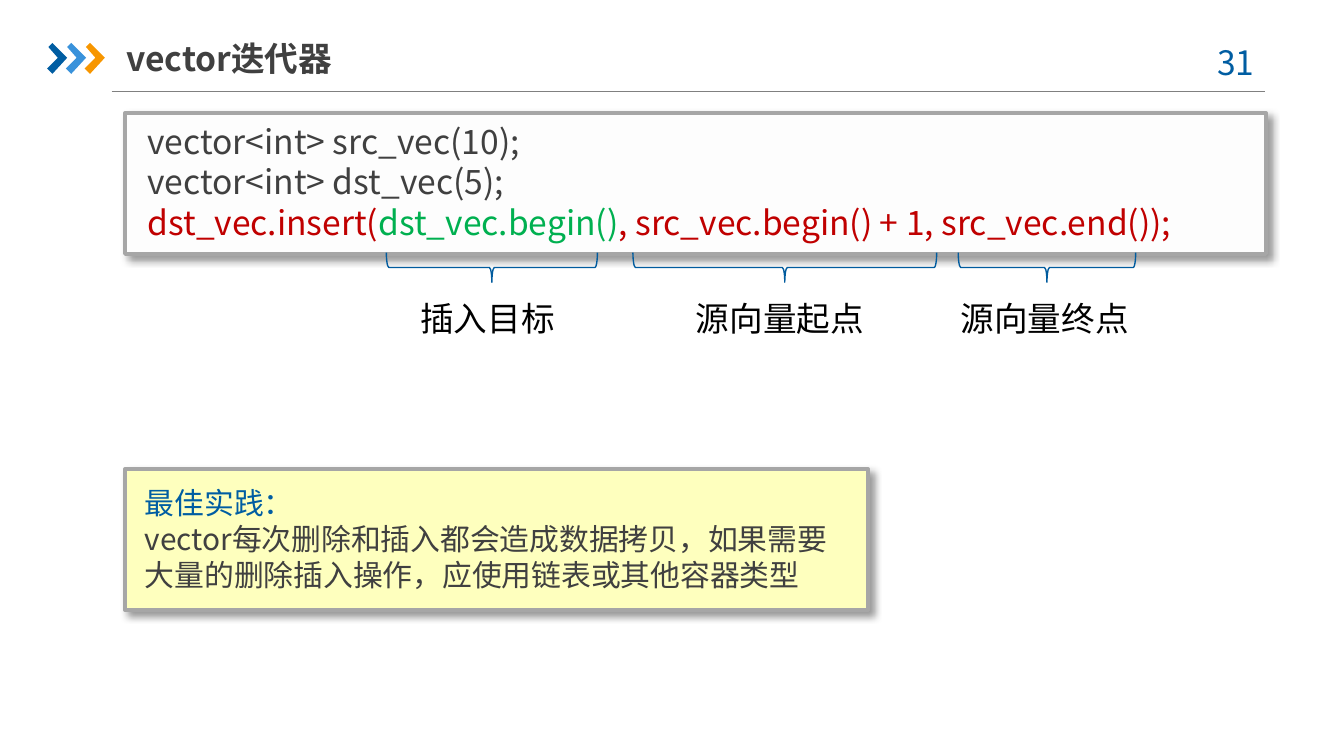
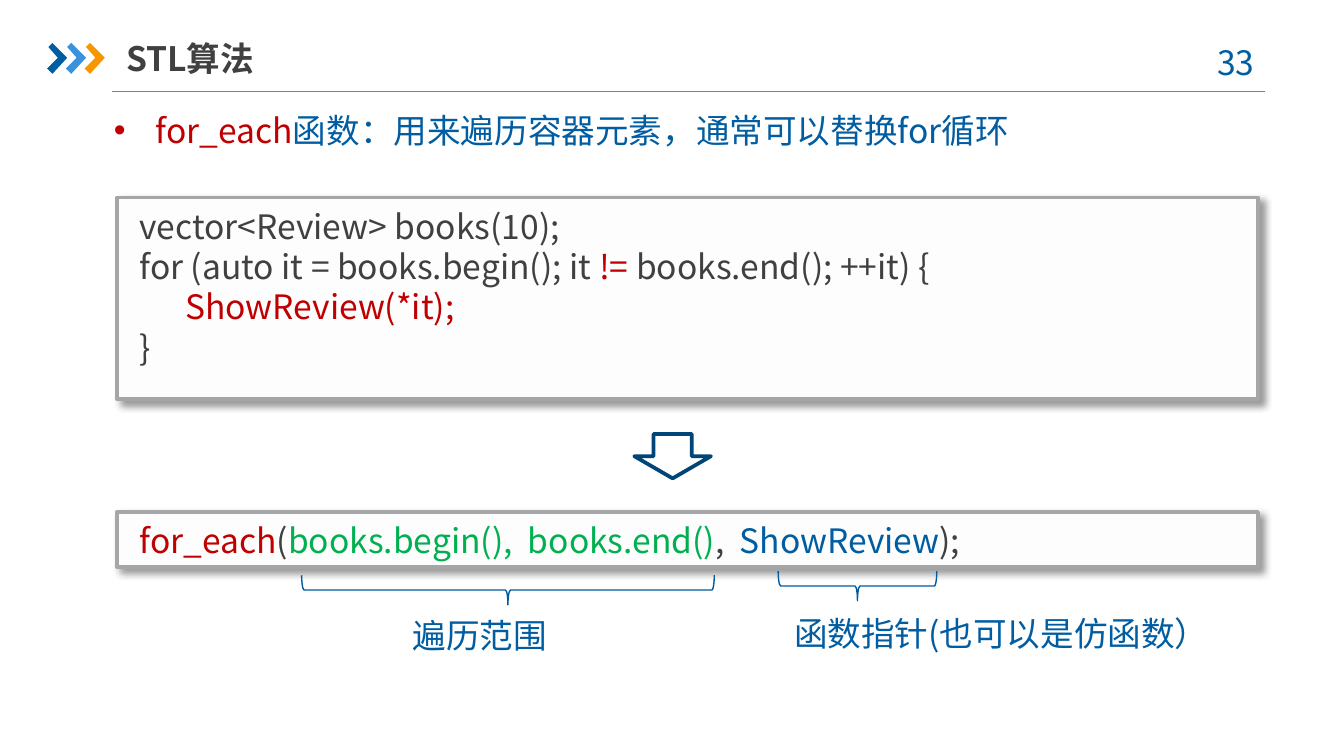
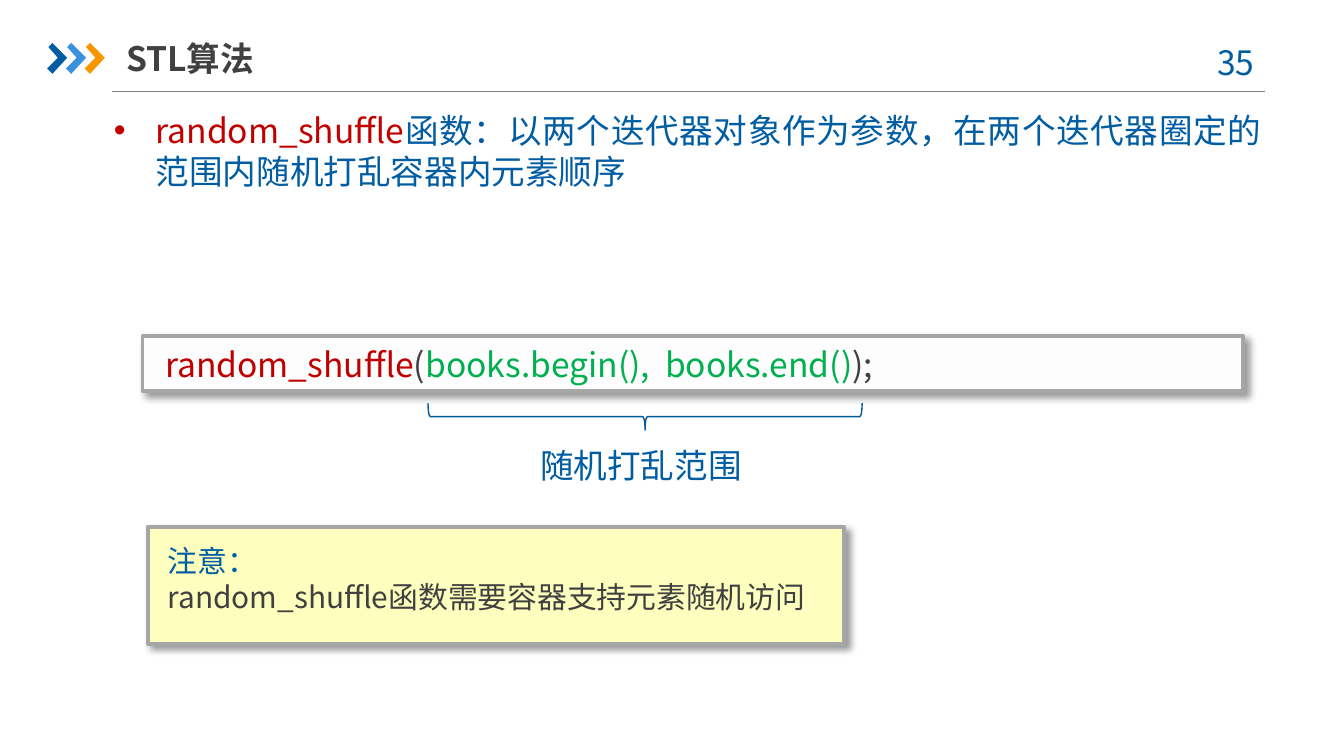
import pptx
import pptx.util
import pptx.dml.color
import pptx.enum.text
import pptx.enum.shapes
import pptx.oxml
import pptx.oxml.ns
from lxml import etree

Inches = pptx.util.Inches
Pt = pptx.util.Pt
Shape = pptx.enum.shapes.MSO_SHAPE
Align = pptx.enum.text.PP_ALIGN
Anchor = pptx.enum.text.MSO_ANCHOR
Fit = pptx.enum.text.MSO_AUTO_SIZE

FONT = "Noto Sans CJK SC"
HEX = {
    "blue": "005DA2", "sky": "3992DB", "orange": "F79600", "brace": "005B9E",
    "navy": "004578", "ink": "404040", "black": "000000", "red": "C00000",
    "green": "00B050", "rule": "808080", "edge": "A6A6A6",
    "panel": "FDFDFD", "note": "FEFFBE",
}


def rgb(name):
    return pptx.dml.color.RGBColor.from_string(HEX[name])


def child(parent, tag, **attrs):
    node = etree.SubElement(parent, pptx.oxml.ns.qn("a:" + tag))
    for key, value in attrs.items():
        node.set(key, str(value))
    return node


class Deck:
    def __init__(self):
        self.prs = pptx.Presentation()
        self.prs.slide_width = Inches(10)
        self.prs.slide_height = Inches(10) * 9 // 16
        self.slide = None

    def start(self, title, number):
        """Add a slide with its rule, chevrons, page number and title."""
        self.slide = self.prs.slides.add_slide(self.prs.slide_layouts[6])
        rule = self.slide.shapes.add_connector(
            pptx.enum.shapes.MSO_CONNECTOR.STRAIGHT,
            Inches(0.83), Inches(0.68), Inches(9.41), Inches(0.68))
        rule.line.color.rgb = rgb("rule")
        rule.line.width = Pt(0.75)
        child(rule._element.spPr, "effectLst")
        for i, color in enumerate(("blue", "sky", "orange")):
            self.chevron(0.35 + 0.14 * i, 0.32, color)
        self.text(8.86, 0.26, 0.73, 0.4, [[(f"{number} ", "blue")]],
                  align=Align.CENTER)
        box = self.text(0.94, 0.22, 2.57, 0.42, [[(title, "ink")]],
                        bold=True, grow=False)
        frame = box.text_frame
        frame.margin_left = frame.margin_right = 0
        frame.vertical_anchor = Anchor.MIDDLE

    def chevron(self, x, y, color):
        points = [(0.01, 0.03), (0.04, 0), (0.15, 0.11), (0.04, 0.23),
                  (0, 0.19), (0.08, 0.11)]
        points = [(Inches(x + dx), Inches(y + dy)) for dx, dy in points]
        path = self.slide.shapes.build_freeform(*points[0])
        path.add_line_segments(points[1:], close=True)
        shape = path.convert_to_shape()
        shape.shadow.inherit = False
        shape.fill.solid()
        shape.fill.fore_color.rgb = rgb(color)
        shape.line.fill.background()

    def text(self, x, y, w, h, lines, size=18, align=Align.LEFT, bold=False,
             grow=True):
        """Each line is a list of (text, color); a "\\n" item breaks it."""
        box = self.slide.shapes.add_textbox(
            Inches(x), Inches(y), Inches(w), Inches(h))
        frame = box.text_frame
        frame.word_wrap = True
        frame.auto_size = Fit.SHAPE_TO_FIT_TEXT if grow else Fit.NONE
        for i, parts in enumerate(lines):
            para = frame.paragraphs[0] if i == 0 else frame.add_paragraph()
            para.alignment = align
            font = para.font
            font.size, font.name, font.bold = Pt(size), FONT, bold
            child(font._element, "ea", typeface=FONT)
            if len(parts) == 1:
                font.color.rgb = rgb(parts[0][1])
            for part in parts:
                if part == "\n":
                    para.add_line_break()
                    continue
                run = para.add_run()
                run.text = part[0]
                if len(parts) > 1:
                    run.font.color.rgb = rgb(part[1])
        return box

    def bullet(self, h, parts):
        box = self.text(0.75, 0.77, 8.74, h, [parts], align=Align.JUSTIFY)
        para = box.text_frame.paragraphs[0]
        para.space_after = Pt(12)
        props = para._p.get_or_add_pPr()
        props.set("marL", str(Inches(0.31)))
        props.set("indent", str(-Inches(0.31)))
        font = props.find(pptx.oxml.ns.qn("a:defRPr"))
        font.addprevious(child(props, "buFont", typeface="Arial"))
        font.addprevious(child(props, "buChar", char="•"))

    def shape(self, kind, x, y, w, h, line, width, fill=None):
        shape = self.slide.shapes.add_shape(
            kind, Inches(x), Inches(y), Inches(w), Inches(h))
        shape.shadow.inherit = False
        if fill:
            shape.fill.solid()
            shape.fill.fore_color.rgb = rgb(fill)
        else:
            shape.fill.background()
        shape.line.color.rgb = rgb(line)
        shape.line.width = Pt(width)
        return shape

    def panel(self, x, y, w, h, fill):
        """Framed box with a soft shadow to the lower right."""
        shape = self.shape(Shape.RECTANGLE, x, y, w, h, "edge", 2, fill)
        effects = shape._element.spPr.find(pptx.oxml.ns.qn("a:effectLst"))
        shadow = child(effects, "outerShdw", blurRad=Pt(4), dist=Pt(3),
                       dir=45 * 60000, algn="tl", rotWithShape=0)
        color = child(shadow, "srgbClr", val=HEX["black"])
        child(color, "alpha", val=40000)

    def code(self, x, y, w, h, lines):
        self.panel(x, y, w, h, "panel")
        return self.text(x + 0.07, y + 0.01, w - 0.22,
                         0.1 + 0.3 * len(lines), lines)

    def note(self, x, y, w, h, head, body, rows):
        self.panel(x, y, w, h, "note")
        box = self.text(x + 0.05, y + 0.07, w - 0.16, 0.1 + 0.27 * rows,
                        [[(head, "blue"), "\n", (body, "ink")]], size=16)
        box.fill.solid()
        box.fill.fore_color.rgb = rgb("note")
        box.text_frame.paragraphs[0].space_after = Pt(6)

    def brace(self, x, y, span, depth=0.22):
        """Brace below a stretch of code, centred on x, y."""
        shape = self.shape(Shape.LEFT_BRACE, x - depth / 2, y - span / 2,
                           depth, span, "brace", 0.75)
        shape.rotation = 270

    def label(self, x, y, w, words, color="blue"):
        self.text(x, y, w, 0.4, [[(words, color)]])


deck = Deck()
SPAN = ("books.begin(),  books.end()", "green")

# Inserting a range into a vector
deck.start("vector迭代器", 31)
deck.note(0.93, 3.49, 5.53, 1.05, "最佳实践：",
          "vector每次删除和插入都会造成数据拷贝，如果需要"
          "大量的删除插入操作，应使用链表或其他容器类型", 3)
deck.code(0.93, 0.84, 8.49, 1.05, [
    [("vector<int> src_vec(10);", "ink")],
    [("vector<int> dst_vec(5);", "ink")],
    [("dst_vec.insert(", "red"), ("dst_vec.begin()", "green"),
     (", src_vec.begin() + 1, src_vec.end());", "red")],
])
for mid, span, left, width, words in (
        (3.66, 1.57, 3.03, 1.34, "插入目标"),
        (5.84, 2.26, 5.08, 1.57, "源向量起点"),
        (7.79, 1.32, 7.05, 1.57, "源向量终点")):
    deck.brace(mid, 1.99, span)
    deck.label(left, 2.17, width, words, "black")

# for_each in place of a loop
deck.start("STL算法", 33)
deck.bullet(0.4, [("for_each", "red"),
                  ("函数：用来遍历容器元素，通常可以替换for循环", "blue")])
loop = deck.code(0.87, 1.47, 8.49, 1.5, [
    [("vector<Review> books(10);", "ink")],
    [("for (auto it = books.begin(); it ", "ink"), ("!= ", "red"),
     ("books.end(); ++it) {", "ink")],
    [("ShowReview(*it);", "red")],
    [("}", "ink")],
])
loop.text_frame.paragraphs[2]._p.get_or_add_pPr().set("marL", str(Inches(0.34)))
deck.code(0.87, 3.81, 8.49, 0.41, [
    [("for_each", "red"), ("(", "ink"), SPAN, (",  ", "ink"),
     ("ShowReview", "blue"), (");", "ink")],
])
deck.brace(3.78, 4.39, 3.07)
deck.label(2.97, 4.53, 1.31, "遍历范围")
deck.brace(6.38, 4.36, 1.18)
deck.label(5.81, 4.51, 3.44, "函数指针(也可以是仿函数）")
deck.shape(Shape.DOWN_ARROW, 4.72, 3.23, 0.57, 0.33, "navy", 2)

# random_shuffle
deck.start("STL算法", 35)
deck.bullet(0.71, [("random_shuffle", "red"),
                   ("函数：以两个迭代器对象作为参数，在两个迭代器圈定的"
                    "范围内随机打乱容器内元素顺序", "blue")])
deck.code(1.06, 2.5, 8.19, 0.41, [
    [("random_shuffle", "red"), ("(", "ink"), SPAN, (");", "ink")],
])
deck.brace(4.8, 3.1, 3.23, 0.2)
deck.label(3.92, 3.26, 2.1, "随机打乱范围")
deck.note(1.1, 3.92, 5.18, 0.87, "注意：",
          "random_shuffle函数需要容器支持元素随机访问", 2)

deck.prs.save("out.pptx")
